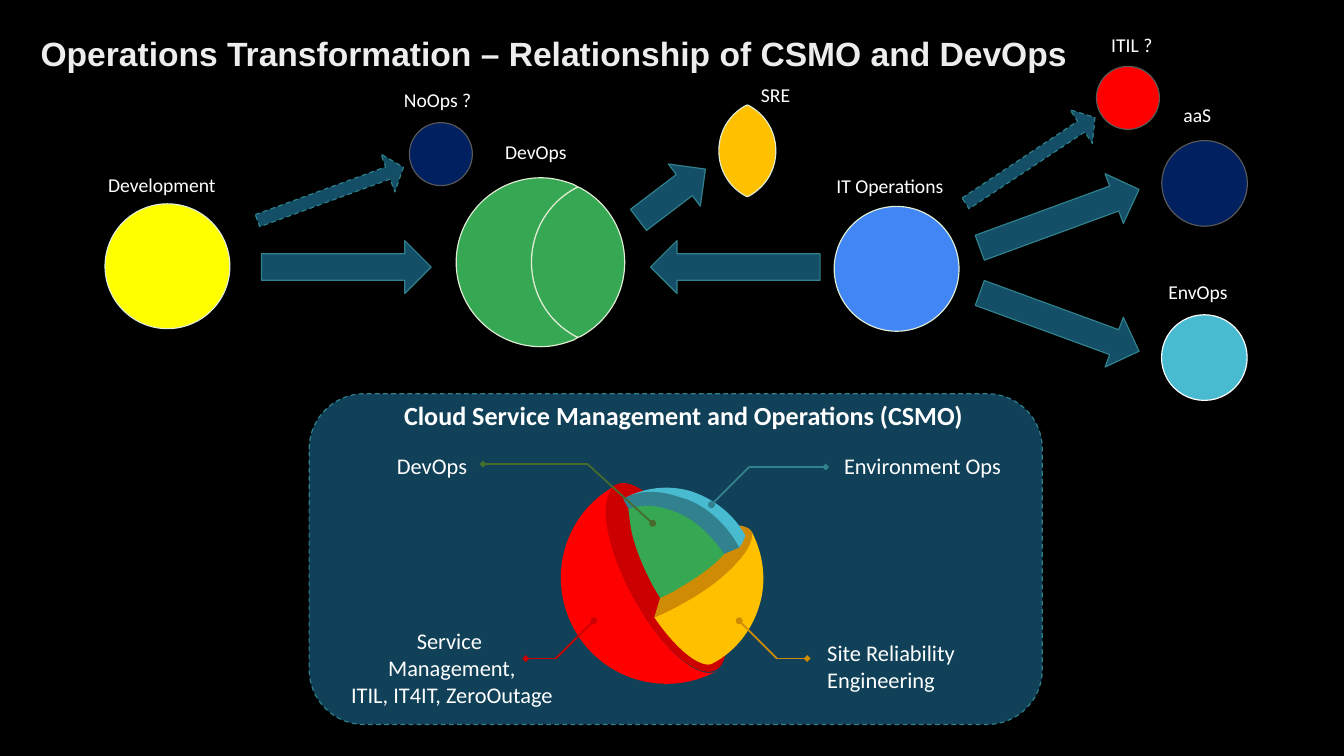
from dataclasses import dataclass
from math import cos, radians, sin

from lxml import etree
from pptx import Presentation
from pptx import util as u
from pptx.dml.color import RGBColor
from pptx.enum import dml, shapes, text
from pptx.oxml.ns import qn

BALL_CENTER = (568, 500)
BALL_TILT = 331.5
LENS_HALF = ((2, -63.7), (25.2, -51.2, 40, -27.4, 40, 0),
             (40, 27.4, 25.2, 51.2, 2, 63.7), (0, 64.4))
CIRCLE_REST = ((-3.7, 66.6), (-13.1, 70.2, -22.5, 72.4, -31.8, 72.4),
               (-71.8, 72.4, -104.5, 40, -104.5, 0),
               (-104.5, -40, -71.8, -72.4, -31.8, -72.4),
               (-22.5, -72.4, -13.1, -70.2, -3.7, -66.6))


@dataclass(frozen=True)
class Theme:
    background: str = "000000"
    title: str = "EDEDED"
    white: str = "FFFFFF"
    arrow: str = "144E67"
    panel: str = "104158"
    edge: str = "30818C"
    pale: str = "DFEDD4"
    gray: str = "595959"
    yellow: str = "FFFF00"
    blue: str = "4285F4"
    navy: str = "002060"
    green: str = "36A853"
    olive: str = "486B2E"
    cyan: str = "49BBD1"
    teal: str = "31828E"
    red: str = "FF0000"
    dark_red: str = "CC0000"
    amber: str = "FFC000"
    ochre: str = "CF8B03"
    title_size: float = 28.8
    heading_size: float = 22.4
    callout_size: float = 19.2
    label_size: float = 16.8


def spin(point, degrees):
    """Turn a point clockwise around the centre of the ball."""
    (cx, cy), angle = BALL_CENTER, radians(degrees)
    dx, dy = point[0] - cx, point[1] - cy
    return (cx + dx * cos(angle) - dy * sin(angle),
            cy + dx * sin(angle) + dy * cos(angle))


class SlideBuilder:
    def __init__(self, page, theme):
        self.page, self.theme = page, theme
        fill = page.background.fill
        fill.solid()
        fill.fore_color.rgb = RGBColor.from_string(theme.background)

    def style(self, shape, fill, line=None, dashed=False):
        shape.shadow.inherit = False
        shape.fill.solid()
        shape.fill.fore_color.rgb = RGBColor.from_string(fill)
        if line is None:
            shape.line.fill.background()
            return
        shape.line.color.rgb = RGBColor.from_string(line)
        shape.line.width = u.Pt(1)
        if dashed:
            shape.line.dash_style = dml.MSO_LINE.DASH

    def shape(self, kind, frame, fill, line=None, dashed=False, rotation=0):
        shape = self.page.shapes.add_shape(kind, *map(u.Pt, frame))
        shape.rotation = rotation
        self.style(shape, fill, line, dashed)
        return shape

    def circle(self, x, y, size, fill, line):
        self.shape(shapes.MSO_SHAPE.OVAL, (x, y, size, size), fill, line)

    def arrow(self, x, y, size, rotation=0, thin=False):
        arrow = self.shape(shapes.MSO_SHAPE.RIGHT_ARROW, (x, y, *size),
                           self.theme.arrow, self.theme.edge, thin, rotation)
        if thin:
            arrow.adjustments[0], arrow.adjustments[1] = 0.32, 0.41

    def outline(self, start, segments, fill, line=None, tilt=0):
        """Closed outline of line (two numbers) and Bezier (six numbers) segments."""
        points = [start] + [s[i:i + 2] for s in segments for i in range(0, len(s), 2)]
        (x, y), *rest = [tuple(map(u.Pt, spin(p, -tilt))) for p in points]
        builder = self.page.shapes.build_freeform(x, y)
        builder.add_line_segments(rest, close=True)
        shape = builder.convert_to_shape()
        steps = iter(list(shape._element.iter(qn("a:lnTo"))))
        for segment in segments:
            step = next(steps)
            if len(segment) == 6:
                step.tag = qn("a:cubicBezTo")
                for extra in (next(steps), next(steps)):
                    step.append(extra[0])
                    extra.getparent().remove(extra)
        center = (u.Emu(shape.left + shape.width // 2).pt,
                  u.Emu(shape.top + shape.height // 2).pt)
        cx, cy = spin(center, tilt)
        shape.left = u.Pt(cx) - shape.width // 2
        shape.top = u.Pt(cy) - shape.height // 2
        shape.rotation = tilt
        self.style(shape, fill, line)

    def lens(self, cx, cy, scale, fill, crescent=False):
        """Overlap of two equal circles, optionally with the rest of the left one."""
        left = [tuple(-n for n in s) for s in LENS_HALF]
        mirror = [tuple(-n if i % 2 == 0 else n for i, n in enumerate(s))
                  for s in LENS_HALF]
        for segments in [[*LENS_HALF, *left]] + [[*mirror, *CIRCLE_REST]] * crescent:
            placed = [tuple((cx, cy)[i % 2] + n * scale for i, n in enumerate(s))
                      for s in segments]
            self.outline((cx, cy - 64.4 * scale), placed, fill, self.theme.pale)

    def leader(self, start, bend, end_x, color):
        end = (end_x, bend[1])
        for begin, finish, tag, mark in ((start, bend, "a:headEnd", "oval"),
                                         (bend, end, "a:tailEnd", "diamond")):
            line = self.page.shapes.add_connector(
                shapes.MSO_CONNECTOR.STRAIGHT, *map(u.Pt, begin + finish))
            line.line.color.rgb = RGBColor.from_string(color)
            line.line.width = u.Pt(1.5)
            etree.SubElement(line.line._get_or_add_ln(), qn(tag), type=mark)
            etree.SubElement(line._element.spPr, qn("a:effectLst"))

    def text(self, words, frame, size, align="LEFT", wrap=False, bold=False,
             font="Calibri", color=None):
        box = self.page.shapes.add_textbox(*map(u.Pt, frame))
        box.text_frame.word_wrap = wrap
        box.text_frame.text = words
        for para in box.text_frame.paragraphs:
            para.alignment = text.PP_ALIGN[align]
            para.font.name, para.font.size, para.font.bold = font, u.Pt(size), bold
            para.font.color.rgb = RGBColor.from_string(color or self.theme.white)
        return box

    def label(self, words, x, y, width, align="LEFT"):
        self.text(words, (x, y, width, 27.4), self.theme.label_size, align)


def main():
    deck = Presentation()
    deck.slide_width, deck.slide_height = u.Pt(1152), u.Pt(648)
    theme = Theme()
    slide = SlideBuilder(deck.slides.add_slide(deck.slide_layouts[6]), theme)

    # Title
    title = slide.text("Operations Transformation – Relationship of CSMO and DevOps",
                       (29.8, 21.6, 993.6, 54), theme.title_size, wrap=True,
                       bold=True, font="Arial", color=theme.title).text_frame
    title.vertical_anchor = text.MSO_ANCHOR.MIDDLE
    title.margin_left = title.margin_right = u.Pt(5)
    title.paragraphs[0].line_spacing = 0.8

    # Disciplines
    slide.lens(495.5, 224.8, 1, theme.green, crescent=True)
    slide.lens(640.6, 129.3, 0.61, theme.amber)
    for x, y, size, fill, line in (
            (90, 174.7, 107, theme.yellow, theme.pale),
            (715, 176.9, 107, theme.blue, theme.pale),
            (350.9, 105.1, 54, theme.navy, theme.gray),
            (995.8, 120.5, 73.4, theme.navy, theme.gray),
            (995.6, 269.8, 73.4, theme.cyan, theme.white),
            (939.8, 56.9, 54, theme.red, theme.gray)):
        slide.circle(x, y, size, fill, line)
    slide.label("DevOps", 425.5, 116.3, 67.7, "CENTER")
    for words, x, y, width in (
            ("Development", 85.7, 144.7, 108), ("IT Operations", 709.9, 145.4, 107.3),
            ("NoOps ?", 339.1, 72, 72.7), ("SRE", 645.1, 67.7, 39.6),
            ("aaS", 1007.3, 85, 38.9), ("EnvOps", 994.3, 236.4, 66.2),
            ("ITIL ?", 945.4, 24.5, 50.4)):
        slide.label(words, x, y, width)

    # Transformation arrows
    for x, y, rotation in ((224.2, 206.2, 0), (557.6, 206.2, 180),
                           (835.4, 164.7, 339.9), (835.4, 253.4, 20.1)):
        slide.arrow(x, y, (145.4, 45.4), rotation)
    slide.arrow(540, 144, (72, 45.4), 322.8)
    for x, y, rotation in ((216.7, 149, 339.9), (816.5, 120.2, 326.4)):
        slide.arrow(x, y, (133.2, 34.6), rotation, thin=True)

    # CSMO panel
    slide.shape(shapes.MSO_SHAPE.ROUNDED_RECTANGLE, (265, 337.5, 628.4, 283.5),
                theme.panel, theme.edge, dashed=True)
    slide.text("Cloud Service Management and Operations (CSMO)",
               (337, 339.1, 498.2, 34.6), theme.heading_size, "CENTER", bold=True)

    # Layered ball
    slide.shape(shapes.MSO_SHAPE.OVAL, (537.8, 404.6, 65.5, 180.7),
                theme.dark_red, rotation=BALL_TILT)
    for fill, start, segments in (
            (theme.ochre, (616.3, 450.7), (
                (605.5, 452.9, 593.3, 456.5, 581, 461.5), (560.9, 529.2),
                (568.1, 526.3, 576, 522.7, 583.2, 518.4),
                (604.1, 507.6, 621.4, 493.9, 632.9, 481),
                (644.4, 468, 646.6, 459.4, 644.4, 455.8),
                (642.2, 451.4, 633.6, 448.6, 616.3, 450.7))),
            (theme.cyan, (586.1, 427.7), (
                (604.8, 436.3, 624.2, 451.4, 633.6, 469.4),
                (637.9, 463.7, 638.6, 460.1, 638.6, 458.6),
                (628.6, 440.6, 612, 427.7, 592.6, 421.2),
                (573.1, 415.4, 552.2, 417.6, 534.2, 427.7),
                (552.2, 417.6, 580.3, 425.5, 586.1, 427.7))),
            (theme.teal, (534.2, 427.7), (
                (571, 495.4), (633.6, 469.4),
                (624.2, 451.4, 605.5, 432.7, 585.4, 427),
                (570.2, 421.9, 552.2, 417.6, 534.2, 427.7))),
            (theme.green, (620.6, 475.2), (
                (610.6, 459.4, 595.4, 445.7, 581.8, 439.9),
                (565.2, 433.4, 552.2, 431.3, 538.6, 436.3), (540, 447.1),
                (541.4, 460.1, 546.5, 474.5, 553.7, 490.3),
                (559.4, 501.8), (565.9, 512.6), (577.4, 506.9), (588.2, 500.4),
                (601.2, 492.5, 612.7, 483.8, 620.6, 475.2))),
            (theme.red, (527.8, 416.2), (
                (483.8, 439.9, 468, 494.6, 491.8, 538.6),
                (515.5, 582.5, 570.2, 599, 614.2, 575.3),
                (598.3, 583.9, 565.9, 555.1, 542.2, 511.2),
                (518.4, 467.3, 511.9, 424.8, 527.8, 416.2))),
            (theme.amber, (644.4, 455.8), (
                (645.8, 459.4, 644.4, 468, 632.9, 481),
                (621.4, 493.9, 604.1, 507.6, 583.2, 518.4),
                (576, 522.7, 568.1, 526.3, 560.9, 529.2),
                (568.8, 540.7, 576.7, 550.1, 585.4, 558),
                (598.3, 569.5, 607, 571, 610.6, 568.8),
                (630, 558.7, 644.4, 540.7, 650.9, 519.1),
                (657.4, 498.2, 654.5, 475.2, 644.4, 455.8)))):
        slide.outline(start, segments, fill, tilt=BALL_TILT)

    # Callouts
    for start, bend, end_x, color, words, frame, align, wrap in (
            ((609.8, 432.7), (642.2, 400.3), 707.8, theme.teal, "Environment Ops",
             (716.4, 384.1, 150.5, 54), "LEFT", True),
            ((509, 532.1), (476.3, 564.5), 450.7, theme.dark_red,
             "Service \vManagement,\nITIL, IT4IT, ZeroOutage",
             (275.8, 534.2, 223.2, 77), "CENTER", True),
            ((559.4, 448.6), (503.6, 397.8), 414, theme.olive, "DevOps",
             (329, 383.8, 78.5, 30.2), "RIGHT", False),
            ((633.6, 532.1), (666, 564.5), 691.9, theme.ochre,
             "Site Reliability\nEngineering", (702, 544.3, 129.6, 54), "LEFT", False)):
        slide.leader(start, bend, end_x, color)
        slide.text(words, frame, theme.callout_size, align, wrap)

    deck.save("out.pptx")


if __name__ == "__main__":
    main()
